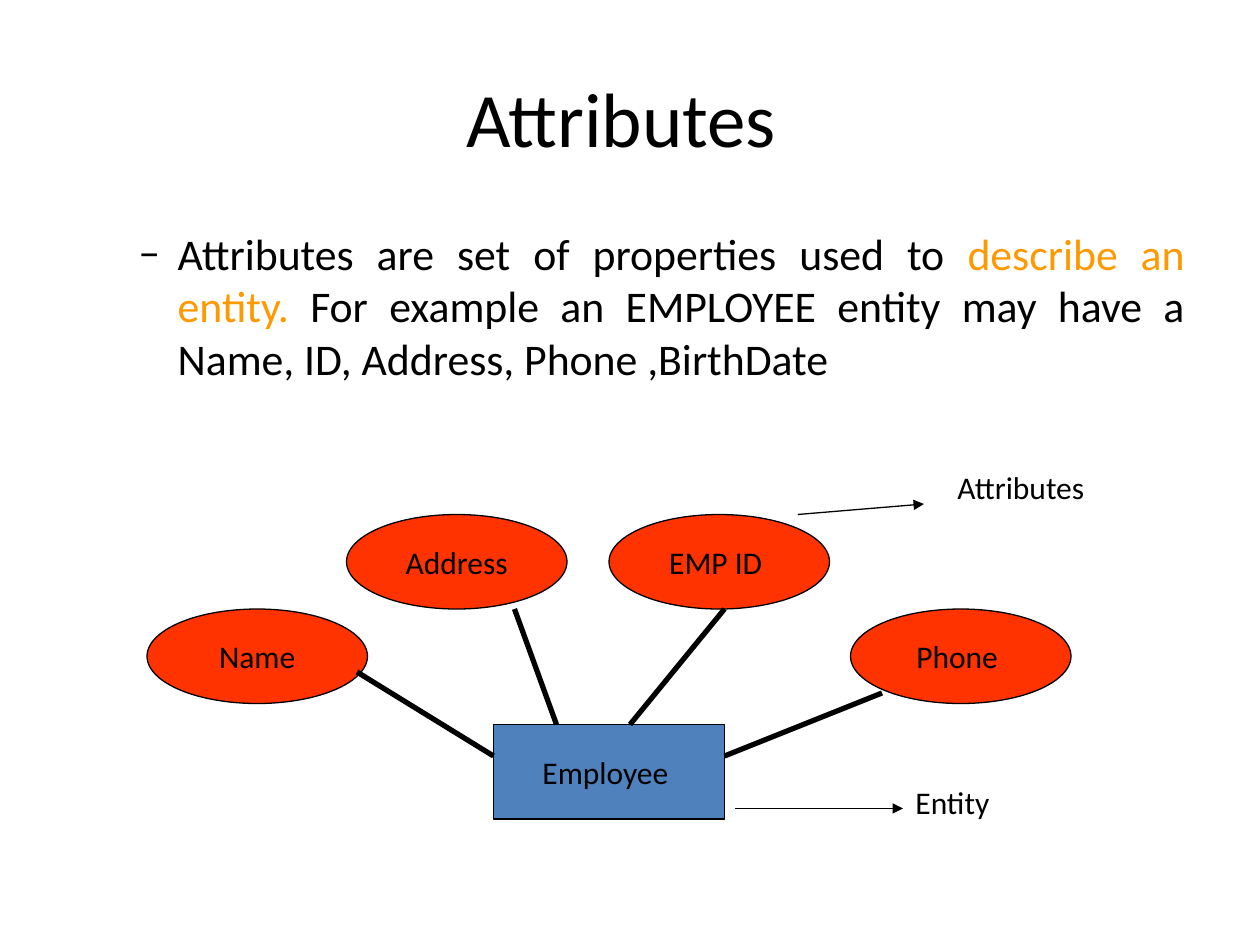
from lxml import etree
from pptx import Presentation
from pptx.dml.color import RGBColor
from pptx.enum.shapes import MSO_CONNECTOR, MSO_SHAPE
from pptx.enum.text import MSO_ANCHOR, PP_ALIGN
from pptx.oxml.ns import qn
from pptx.util import Pt

RECTANGLE, ELLIPSE = MSO_SHAPE.RECTANGLE, MSO_SHAPE.OVAL
STRAIGHT = MSO_CONNECTOR.STRAIGHT
TOP, MIDDLE = MSO_ANCHOR.TOP, MSO_ANCHOR.MIDDLE
LEFT, CENTER, JUSTIFY = PP_ALIGN.LEFT, PP_ALIGN.CENTER, PP_ALIGN.JUSTIFY

THEME = {
    "font": "Calibri",
    "ink": RGBColor(0x00, 0x00, 0x00),
    "highlight": RGBColor(0xFF, 0x99, 0x00),
    "entity": RGBColor(0x4F, 0x81, 0xBD),
    "attribute": RGBColor(0xFF, 0x33, 0x00),
    "title_size": 44,
    "body_size": 25,
    "label_size": 18,
    "outline": 0.75,
    "link": 3,
}

TITLE = ("Attributes ", (36, 21.6, 648, 90))
BODY_BOX = (36, 126, 648, 356.4)
BODY_RUNS = [
    ("Attributes are set of properties used to ", "ink"),
    ("describe an entity.", "highlight"),
    (" For example an EMPLOYEE entity may have a Name, ID, Address, Phone ,BirthDate", "ink"),
]
BODY_INDENT, BODY_HANGING = 58.5, 22.5

NODE_HEIGHT = 54
ATTRIBUTE_WIDTH = 126
UPPER_ROW, LOWER_ROW = 294, 348
ENTITY = ("Employee ", (282, 414, 132, NODE_HEIGHT))
ATTRIBUTES = [
    ("Address", 198, UPPER_ROW),
    ("EMP ID ", 348, UPPER_ROW),
    ("Name", 84, LOWER_ROW),
    ("Phone ", 486, LOWER_ROW),
]
LINKS = [  # attribute end, entity end
    ((204, 384), (282, 432)),
    ((294, 348), (318, 414)),
    ((414, 348), (360, 414)),
    ((504, 396), (414, 432)),
]
CALLOUT_SIZE = (96, 29)
CALLOUTS = [  # text, position, arrow start, arrow end
    ("Attributes", (540, 264), (456, 294), (528, 288)),
    ("Entity", (516, 444), (420, 462), (516, 462)),
]


def points(values):
    return [Pt(value) for value in values]


def write(shape, runs, size, align=LEFT, anchor=TOP, wrap=True):
    """Fill the shape with one paragraph of (text, theme colour) runs."""
    frame = shape.text_frame
    frame.word_wrap = wrap
    frame.vertical_anchor = anchor
    paragraph = frame.paragraphs[0]
    paragraph.alignment = align
    for text, color in runs:
        run = paragraph.add_run()
        run.text = text
        run.font.name = THEME["font"]
        run.font.size = Pt(THEME[size])
        run.font.color.rgb = THEME[color]
    return paragraph


def add_text(slide, box, runs, size, **layout):
    return write(slide.shapes.add_textbox(*points(box)), runs, size, **layout)


def add_dash_bullet(paragraph, indent, hanging):
    properties = paragraph._p.get_or_add_pPr()
    properties.set("marL", str(Pt(indent)))
    properties.set("indent", str(-Pt(hanging)))
    etree.SubElement(properties, qn("a:buFont"), typeface=THEME["font"])
    etree.SubElement(properties, qn("a:buChar"), char="–")


def add_node(slide, kind, box, text, fill):
    node = slide.shapes.add_shape(kind, *points(box))
    node.shadow.inherit = False
    node.fill.solid()
    node.fill.fore_color.rgb = THEME[fill]
    node.line.color.rgb = THEME["ink"]
    node.line.width = Pt(THEME["outline"])
    write(node, [(text, "ink")], "label_size", align=CENTER, anchor=MIDDLE, wrap=False)


def add_line(slide, start, end, weight, arrow=False):
    connector = slide.shapes.add_connector(STRAIGHT, *points(start + end))
    connector.line.color.rgb = THEME["ink"]
    connector.line.width = Pt(THEME[weight])
    if arrow:
        etree.SubElement(connector.line._get_or_add_ln(), qn("a:tailEnd"), type="triangle")
    etree.SubElement(connector._element.spPr, qn("a:effectLst"))


def main():
    presentation = Presentation()
    presentation.slide_width, presentation.slide_height = Pt(720), Pt(540)
    slide = presentation.slides.add_slide(presentation.slide_layouts[6])

    title, title_box = TITLE
    add_text(slide, title_box, [(title, "ink")], "title_size", align=CENTER, anchor=MIDDLE)
    body = add_text(slide, BODY_BOX, BODY_RUNS, "body_size", align=JUSTIFY)
    add_dash_bullet(body, BODY_INDENT, BODY_HANGING)

    entity, entity_box = ENTITY
    add_node(slide, RECTANGLE, entity_box, entity, "entity")
    for name, left, top in ATTRIBUTES:
        add_node(slide, ELLIPSE, (left, top, ATTRIBUTE_WIDTH, NODE_HEIGHT), name, "attribute")
    for start, end in LINKS:
        add_line(slide, start, end, "link")
    for text, position, start, end in CALLOUTS:
        add_line(slide, start, end, "outline", arrow=True)
        add_text(slide, position + CALLOUT_SIZE, [(text, "ink")], "label_size")

    presentation.save("out.pptx")


if __name__ == "__main__":
    main()
